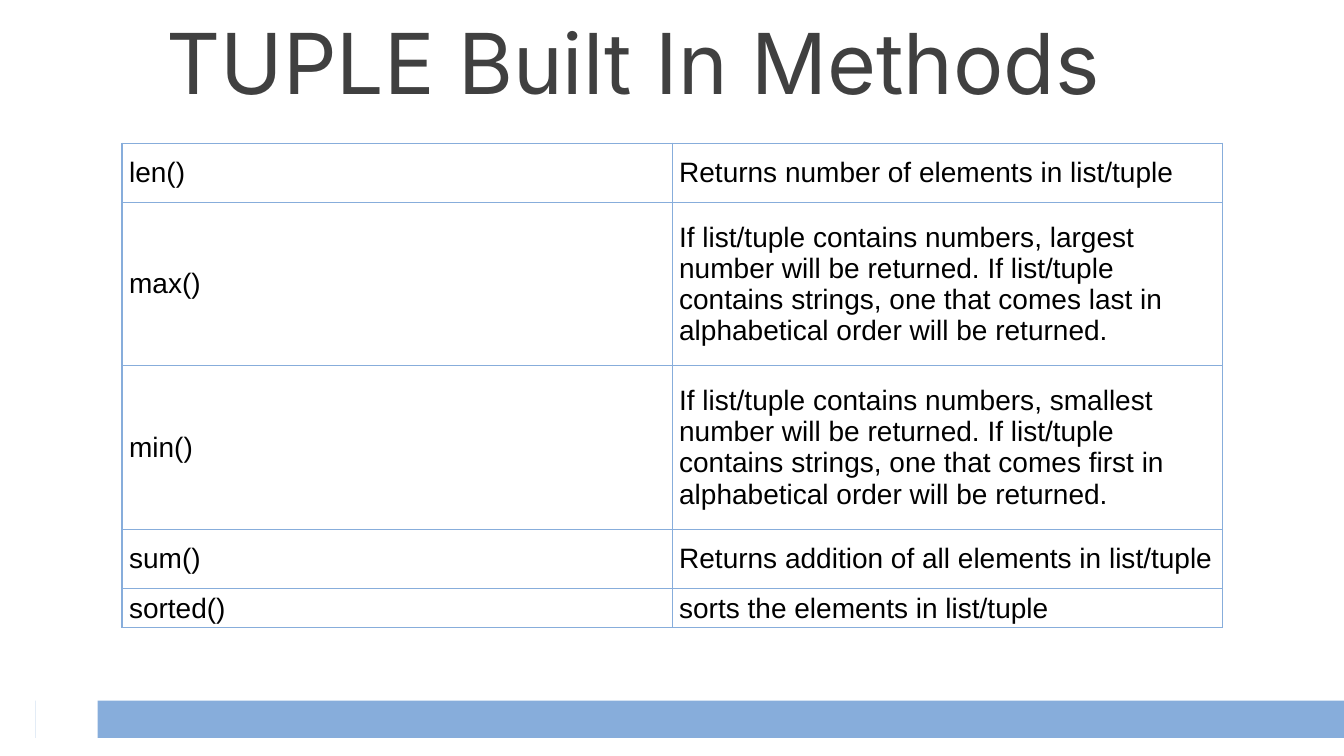
from lxml.etree import SubElement
from pptx import Presentation
from pptx.dml.color import RGBColor
from pptx.enum.shapes import MSO_SHAPE as Preset
from pptx.enum.text import MSO_ANCHOR as Anchor, PP_ALIGN as Align
from pptx.oxml.ns import qn
from pptx.util import Inches, Pt

BLUE, WHITE, BLACK, GREY = "87ADDB", "FFFFFF", "000000", "404040"

METHODS = [
    ("len()", "Returns number of elements in list/tuple"),
    ("max()", "If list/tuple contains numbers, largest number will be returned. "
              "If list/tuple contains strings, one that comes last in "
              "alphabetical order will be returned."),
    ("min()", "If list/tuple contains numbers, smallest number will be returned. "
              "If list/tuple contains strings, one that comes first in "
              "alphabetical order will be returned."),
    ("sum()", "Returns addition of all elements in list/tuple"),
    ("sorted()", "sorts the elements in list/tuple"),
]
SHORT, TALL, LAST = 7.87, 21.6, 5.07
ROW_HEIGHTS = [SHORT, TALL, TALL, SHORT, LAST]


def color(hex_code):
    return RGBColor.from_string(hex_code)


class SlideBuilder:
    """Draws on one slide; all lengths are percentages of its width or height."""

    title_font, body_font = "Inter", "Arial"

    def __init__(self, deck):
        self.deck = deck
        self.slide = deck.slides.add_slide(deck.slide_layouts[5])

    def across(self, share):
        return round(self.deck.slide_width * share / 100)

    def down(self, share):
        return round(self.deck.slide_height * share / 100)

    def box(self, left, top, width, height):
        return self.across(left), self.down(top), self.across(width), self.down(height)

    def add_words(self, paragraph, words, font, size, ink):
        run = paragraph.add_run()
        run.text = words
        run.font.name, run.font.size = font, Pt(size)
        run.font.bold = False
        run.font.color.rgb = color(ink)

    def title(self, words, *place):
        heading = self.slide.shapes.title
        heading.left, heading.top, heading.width, heading.height = self.box(*place)
        heading.text_frame.vertical_anchor = Anchor.TOP
        heading.text_frame.word_wrap = True
        line = heading.text_frame.paragraphs[0]
        line.alignment, line.line_spacing = Align.CENTER, 0.9
        self.add_words(line, words, self.title_font, 60, GREY)

    def block(self, fill, *place):
        block = self.slide.shapes.add_shape(Preset.RECTANGLE, *self.box(*place))
        block.shadow.inherit = False
        block.fill.solid()
        block.fill.fore_color.rgb = color(fill)
        block.line.fill.background()

    def border(self, cell):
        """Rules all four sides; the lines must come before the fill in the XML."""
        properties = cell._tc.get_or_add_tcPr()
        for position, side in enumerate(("lnL", "lnR", "lnT", "lnB")):
            edge = SubElement(properties, qn(f"a:{side}"), w=str(Pt(1)))
            fill = SubElement(edge, qn("a:solidFill"))
            SubElement(fill, qn("a:srgbClr"), val=BLUE)
            properties.insert(position, edge)

    def table(self, rows, heights, column_width, left, top):
        columns = len(rows[0])
        place = self.box(left, top, column_width * columns, sum(heights))
        table = self.slide.shapes.add_table(len(rows), columns, *place).table
        table.first_row = table.horz_banding = False
        for column in table.columns:
            column.width = self.across(column_width)
        for row, height, entries in zip(table.rows, heights, rows):
            row.height = self.down(height)
            for cell, words in zip(row.cells, entries):
                cell.fill.background()
                cell.vertical_anchor = Anchor.MIDDLE
                cell.margin_left = cell.margin_right = Inches(0.07)
                cell.margin_top = cell.margin_bottom = Inches(0.04)
                self.add_words(cell.text_frame.paragraphs[0], words, self.body_font, 20, BLACK)
                self.border(cell)


def main():
    deck = Presentation()
    deck.slide_width, deck.slide_height = Inches(13.33), Inches(7.5)
    page = SlideBuilder(deck)
    page.block(BLUE, 2.63, 92.67, 97.37, 4.93)
    page.block(WHITE, 2.63, 92.6, 4.65, 5)
    page.title("TUPLE Built In Methods", 0.98, 2.27, 92.27, 16.67)
    page.table(METHODS, ROW_HEIGHTS, 40.93, 9.08, 18.93)
    deck.save("out.pptx")


if __name__ == "__main__":
    main()
